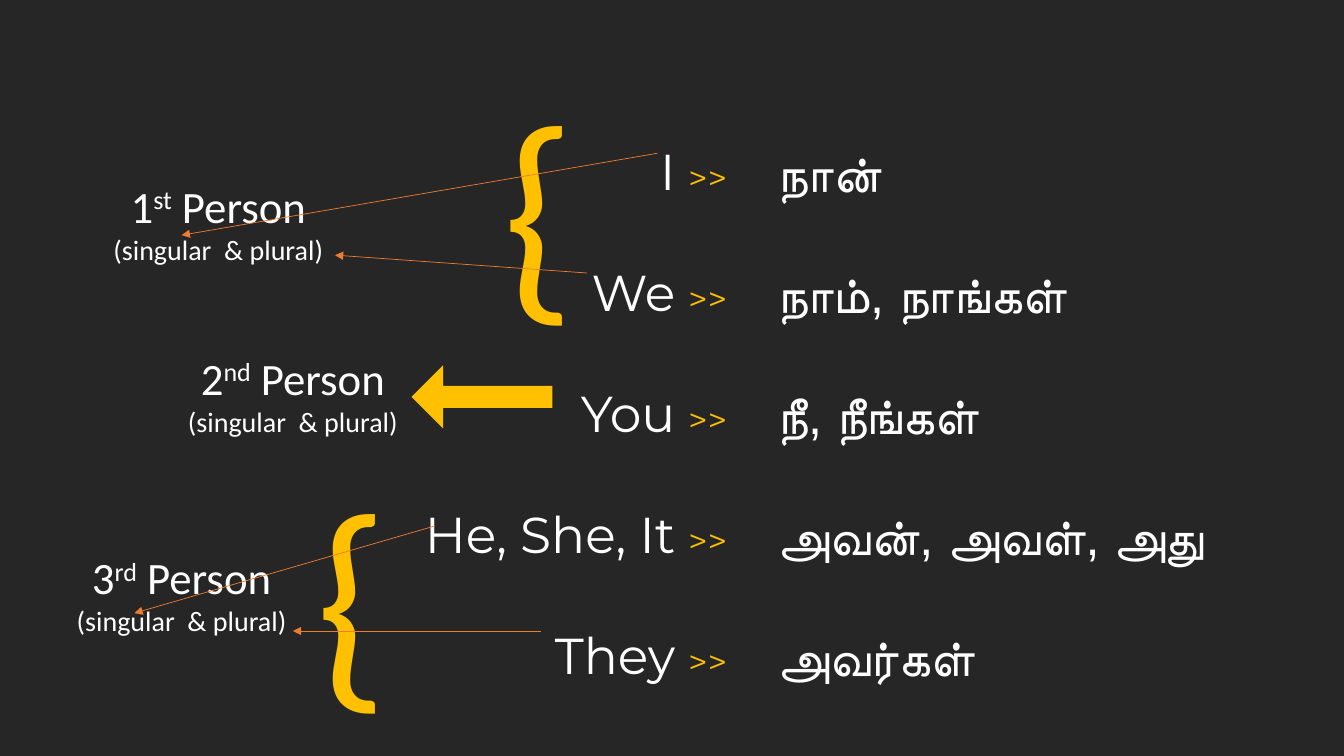
from pptx import Presentation
from pptx.dml.color import RGBColor
from pptx.enum.shapes import MSO_CONNECTOR, MSO_SHAPE
from pptx.enum.text import MSO_AUTO_SIZE, PP_ALIGN
from pptx.oxml.ns import qn
from pptx.util import Emu, Pt
from lxml.etree import SubElement


def px(n):
    return Emu(n * 9525)


def rgb(code):
    return RGBColor.from_string(code)


class Board:
    dark, white, gold, rust = "262626", "FFFFFF", "FFC000", "ED7D31"

    def __init__(self, deck):
        self.slide = deck.slides.add_slide(deck.slide_layouts[6])
        fill = self.slide.background.fill
        fill.solid()
        fill.fore_color.rgb = rgb(self.dark)
        self.shapes = self.slide.shapes

    def box(self, area, count):
        frame = self.shapes.add_textbox(*map(px, area)).text_frame
        frame.word_wrap = False
        frame.auto_size = MSO_AUTO_SIZE.SHAPE_TO_FIT_TEXT
        for _ in range(count - 1):
            frame.add_paragraph()
        return frame.paragraphs

    def style(self, font, size, color):
        font.size = Pt(size)
        font.color.rgb = rgb(color)

    def nouns(self, area, words):
        for para, word in zip(self.box(area, len(words)), words):
            para.alignment = PP_ALIGN.RIGHT
            para.line_spacing = 2.0
            para.font.name = "Montserrat"
            for text, size, color in ((word + " ", 36, self.white), (">>", 24, self.gold)):
                run = para.add_run()
                run.text = text
                self.style(run.font, size, color)

    def tamil(self, area, words):
        for para, word in zip(self.box(area, len(words)), words):
            para.text = word
            para.line_spacing = 2.0
            para.font.name = "Arial"
            self.style(para.font, 36, self.white)
            props = para._p.pPr.find(qn("a:defRPr"))
            SubElement(props, qn("a:cs"), typeface="Arial")

    def person(self, area, digit, suffix):
        head, note = self.box(area, 2)
        for text in (digit, suffix, " Person"):
            run = head.add_run()
            run.text = text
            if text == suffix:
                run._r.get_or_add_rPr().set("baseline", "30000")
        note.text = "(singular  & plural)"
        for para, size in ((head, 32), (note, 20)):
            para.alignment = PP_ALIGN.CENTER
            para.font.name = "Calibri"
            self.style(para.font, size, self.white)

    def brace(self, left, top):
        para = self.box((left, top, 89, 277), 1)[0]
        para.text = "{"
        para.font.name = "Calibri"
        self.style(para.font, 166, self.gold)

    def arrow(self, area):
        shape = self.shapes.add_shape(MSO_SHAPE.LEFT_ARROW, *map(px, area))
        shape.shadow.inherit = False
        shape.adjustments[0] = 0.35
        shape.fill.solid()
        shape.fill.fore_color.rgb = rgb(self.gold)
        shape.line.fill.background()

    def link(self, ends):
        wire = self.shapes.add_connector(MSO_CONNECTOR.STRAIGHT, *map(px, ends))
        wire.line.color.rgb = rgb(self.rust)
        wire.line.width = Pt(0.5)
        SubElement(wire.line._get_or_add_ln(), qn("a:tailEnd"), type="triangle")
        SubElement(wire._element.spPr, qn("a:effectLst"))


def main():
    deck = Presentation()
    deck.slide_width, deck.slide_height = px(1280), px(720)
    board = Board(deck)
    board.nouns((392, 71, 310, 574), ("I", "We", "You", "He, She, It", "They"))
    board.tamil((731, 73, 501, 576), (
        "நான்", "நாம், நாங்கள்", "நீ, நீங்கள்", "அவன், அவள், அது", "அவர்கள்"))
    board.person((97, 165, 222, 94), "1", "st")
    board.arrow((392, 348, 134, 60))
    board.person((166, 329, 226, 94), "2", "nd")
    for left, top in ((469, 54), (291, 424)):
        board.brace(left, top)
    board.person((60, 519, 226, 94), "3", "rd")
    for ends in ((626, 146, 173, 224), (559, 260, 319, 243),
                 (414, 501, 128, 584), (515, 601, 279, 601)):
        board.link(ends)
    deck.save("out.pptx")


if __name__ == "__main__":
    main()
